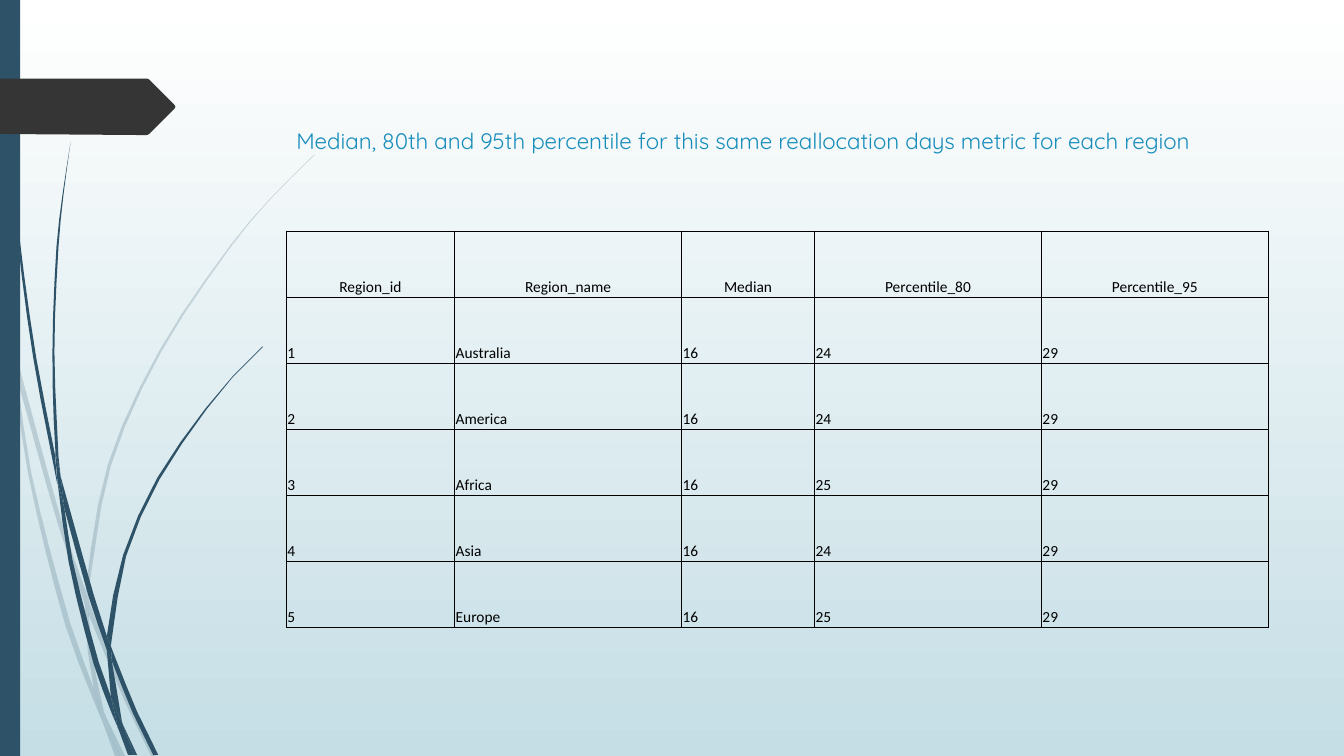
from math import dist

from lxml.etree import SubElement
from pptx import Presentation
from pptx.dml.color import RGBColor
from pptx.enum.shapes import MSO_SHAPE as Preset
from pptx.enum.text import MSO_ANCHOR as Anchor, PP_ALIGN as Align
from pptx.oxml.ns import qn
from pptx.util import Emu, Pt

EMU_PER_PX = 9144  # 100 px to the inch
CURVE_STEP = 50  # px between samples along a curve

WHITE = RGBColor(0xFF, 0xFF, 0xFF)
MIST = RGBColor(0xC5, 0xDE, 0xE5)
NAVY = RGBColor(0x2E, 0x53, 0x69)
CHARCOAL = RGBColor(0x35, 0x35, 0x35)
SKY = RGBColor(0x17, 0x8D, 0xBB)
BLACK = RGBColor(0, 0, 0)

# Grass blades: each piece is one edge going out and the other coming back
PALE_BLADES = [
    ([(0, 282), (9, 322), (11, 350)], [(10, 344), (0, 299)]),
    ([(14, 345), (62, 520), (85, 586)], [(84, 599), (58, 522), (17, 376)]),
    ([(88, 596), (92, 607), (127, 692), (155, 750)],
     [(150, 750), (123, 694), (88, 610)]),
    ([(105, 711), (124, 750)], [(119, 750)]),
    ([(11, 350), (17, 376), (31, 469), (70, 619), (93, 683), (101, 714)],
     [(92, 693), (65, 621), (28, 470), (11, 350)]),
    ([(84, 599), (88, 608), (91, 646), (103, 706), (105, 711)],
     [(96, 692), (93, 683), (87, 646), (84, 599)]),
    ([(312, 153), (268, 197), (228, 244), (158, 348), (107, 461),
      (85, 584), (88, 596)],
     [(88, 584), (110, 462), (160, 349), (229, 245), (268, 198), (312, 154)]),
    ([(101, 714), (114, 750)], [(119, 750)]),
    ([(85, 586), (88, 596), (88, 610)], [(88, 608), (84, 599)]),
    ([(93, 683), (99, 707), (101, 714), (119, 750)], [(105, 711), (96, 692)]),
]
DARK_BLADES = [
    ([(3, 0), (7, 110), (17, 233), (33, 355), (57, 481)],
     [(55, 457), (55, 453), (36, 355), (19, 232), (8, 109), (4, 0)]),
    ([(60, 472), (93, 590), (106, 631)], [(106, 645), (88, 592), (64, 505)]),
    ([(110, 641), (113, 649), (136, 706), (157, 749)],
     [(152, 749), (132, 708), (111, 656)]),
    ([(57, 477), (64, 505), (72, 556), (98, 657), (110, 691), (117, 722)],
     [(111, 708), (93, 659), (68, 557), (57, 477)]),
    ([(70, 141), (62, 193), (56, 245), (52, 349), (55, 449), (60, 472)],
     [(58, 453), (54, 349), (58, 245), (63, 193), (70, 141)]),
    ([(122, 719), (136, 749)], [(133, 749)]),
    ([(55, 449), (60, 472), (64, 505)], [(57, 477), (55, 453)]),
    ([(260, 344), (231, 373), (204, 405), (156, 474), (122, 551),
      (106, 631), (110, 641)],
     [(111, 633), (125, 552), (158, 476), (205, 406), (231, 374), (261, 344)]),
    ([(117, 722), (127, 749)], [(131, 749)]),
    ([(106, 645), (110, 691), (116, 706), (122, 719)],
     [(121, 716), (111, 656), (109, 651)]),
    ([(106, 631), (110, 641), (111, 656)], [(109, 651), (106, 645)]),
    ([(110, 691), (117, 722), (130, 749)], [(133, 749), (122, 719), (116, 706)]),
]
PAGE_TAG = [(0, 78), (146, 78), (148, 79), (173, 104), (174, 106), (173, 108),
            (148, 133), (146, 134), (136, 134), (0, 133)]

TITLE = ("Median, 80th and 95th percentile for this same reallocation days "
         "metric for each region")
COLUMN_WIDTHS = [167, 225, 132, 225, 225]
REGION_ROWS = [
    ["Region_id", "Region_name", "Median", "Percentile_80", "Percentile_95"],
    ["1", "Australia", "16", "24", "29"],
    ["2", "America", "16", "24", "29"],
    ["3", "Africa", "16", "25", "29"],
    ["4", "Asia", "16", "24", "29"],
    ["5", "Europe", "16", "25", "29"],
]


def px(length):
    return Emu(round(length * EMU_PER_PX))


def smooth(points):
    """Sample a spline through the points, its slopes weighted by distance."""
    last = len(points) - 1
    slopes = []
    for i in range(last + 1):
        near = points[max(i - 1, 0):i + 2]
        span = sum(dist(a, b) for a, b in zip(near, near[1:])) or 1
        slopes.append([(end - start) / span for start, end in zip(near[0], near[-1])])
    curve = [points[0]]
    for i in range(last):
        chord = dist(points[i], points[i + 1])
        steps = 1 + int(chord // CURVE_STEP)
        for step in range(1, steps + 1):
            t = step / steps
            rise = t * t * (3 - 2 * t)
            leave, arrive = t * (1 - t) ** 2 * chord, t * t * (t - 1) * chord
            curve.append(tuple(
                a + (b - a) * rise + leave * m + arrive * n
                for a, b, m, n in zip(points[i], points[i + 1], slopes[i], slopes[i + 1])))
    return curve


def paint(shape, color, alpha=None):
    shape.shadow.inherit = False
    shape.fill.solid()
    shape.fill.fore_color.rgb = color
    shape.line.fill.background()
    if alpha:
        tint = shape.element.spPr.find(".//" + qn("a:srgbClr"))
        SubElement(tint, qn("a:alpha"), val=str(alpha * 1000))


def add_outline(page, points, color, alpha=None):
    corners = [(px(x), px(y)) for x, y in points]
    builder = page.shapes.build_freeform(*corners[0])
    builder.add_line_segments(corners[1:], close=True)
    paint(builder.convert_to_shape(), color, alpha)


def add_blades(page, blades, alpha=None):
    for outward, back in blades:
        add_outline(page, smooth(outward) + smooth(back), NAVY, alpha)


def add_run(para, text, font, size, color):
    span = para.add_run()
    span.text = text
    span.font.name, span.font.size = font, Pt(size)
    span.font.color.rgb = color


def add_title(page):
    box = page.shapes.add_textbox(px(284), px(68), px(975), px(140))
    box.text_frame.word_wrap = True
    box.text_frame.vertical_anchor = Anchor.TOP
    para = box.text_frame.paragraphs[0]
    para.line_spacing = Pt(57.6)
    add_run(para, TITLE, "Quicksand", 16, SKY)


def add_borders(cell):
    props = cell._tc.get_or_add_tcPr()
    for side in ("lnL", "lnR", "lnT", "lnB"):
        line = SubElement(props, qn("a:" + side), w=str(Pt(0.5)))
        solid = SubElement(line, qn("a:solidFill"))
        SubElement(solid, qn("a:srgbClr"), val=str(BLACK))


def add_region_table(page):
    frame = page.shapes.add_table(len(REGION_ROWS), len(COLUMN_WIDTHS),
                                  px(284), px(229), px(975), px(393))
    table = frame.table
    table.first_row = table.horz_banding = False
    for column, width in zip(table.columns, COLUMN_WIDTHS):
        column.width = px(width)
    for r, texts in enumerate(REGION_ROWS):
        for c, text in enumerate(texts):
            cell = table.cell(r, c)
            add_borders(cell)
            cell.fill.background()
            cell.vertical_anchor = Anchor.BOTTOM
            cell.margin_left = cell.margin_right = cell.margin_top = px(1)
            cell.margin_bottom = 0
            para = cell.text_frame.paragraphs[0]
            para.alignment = Align.LEFT if r else Align.CENTER
            add_run(para, text, "Calibri", 11, BLACK)


def add_backdrop(page):
    fill = page.background.fill
    fill.gradient()
    fill.gradient_angle = 270
    for stop, color, position in zip(fill.gradient_stops, (WHITE, MIST), (0, 1)):
        stop.color.rgb = color
        stop.position = position


def main():
    deck = Presentation()
    deck.slide_width, deck.slide_height = px(1333), px(750)
    page = deck.slides.add_slide(deck.slide_layouts[6])

    # Backdrop and side decoration
    add_backdrop(page)
    add_blades(page, PALE_BLADES, alpha=20)
    add_blades(page, DARK_BLADES)
    bar = page.shapes.add_shape(Preset.RECTANGLE, 0, 0, px(20), px(750))
    paint(bar, NAVY)
    add_outline(page, PAGE_TAG, CHARCOAL)

    # Content
    add_title(page)
    add_region_table(page)
    deck.save("out.pptx")


if __name__ == "__main__":
    main()
